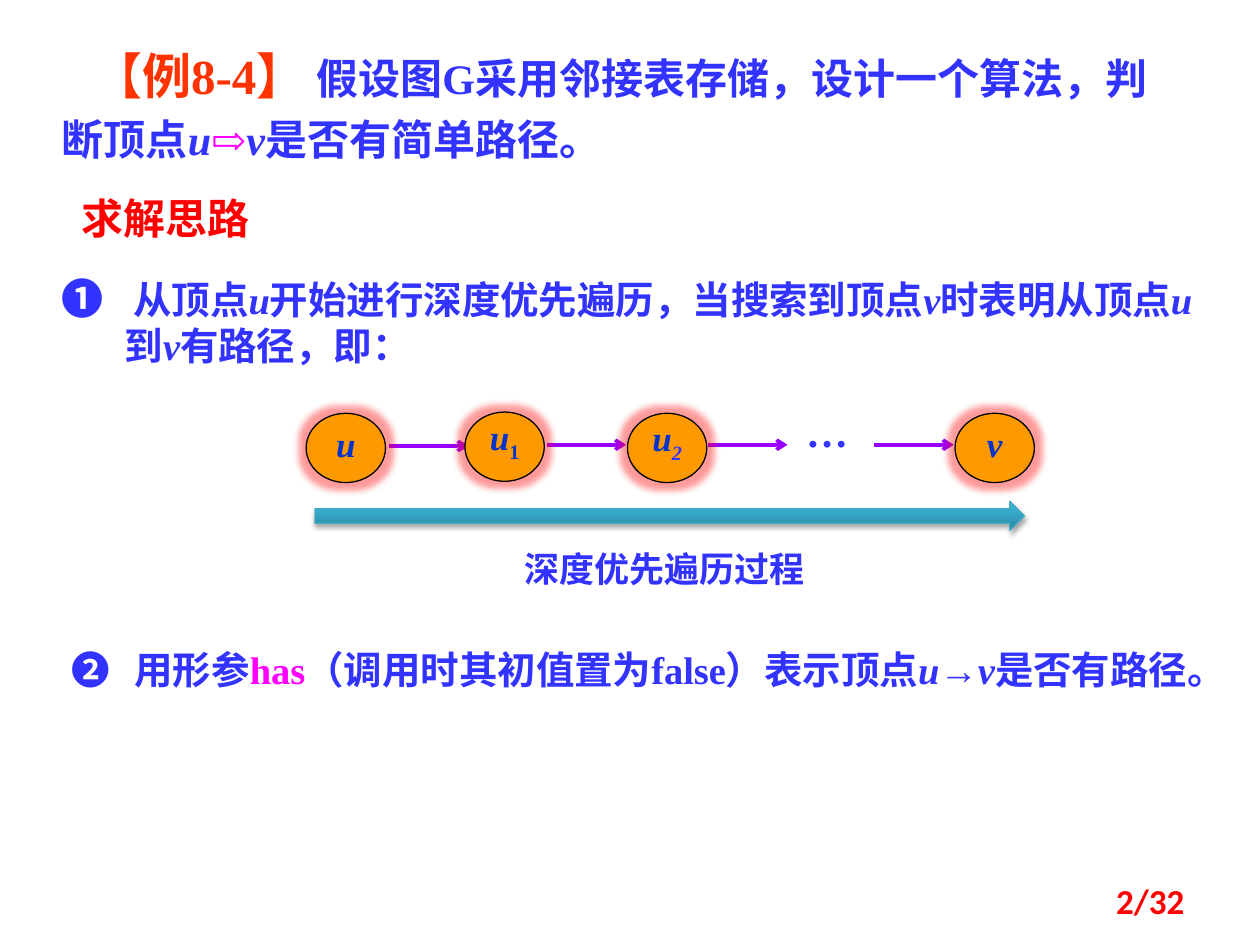
from lxml import etree
from pptx import Presentation
from pptx import util as u
from pptx.dml.color import RGBColor
from pptx.enum import shapes, text
from pptx.oxml import parse_xml
from pptx.oxml.ns import qn

COLORS = {"blue": "3333FF", "node": "FF9900", "label": "0033CC", "black": "000000",
          "red": "FF0000", "orange": "FF3300", "pink": "FF00FF", "edge": "9900FF",
          "teal": "46AAC5", "teal_dark": "2A88A2", "teal_mid": "37B1D2",
          "teal_light": "34B4D6"}
CJK, SERIF, SANS = "Noto Sans CJK SC", "Times New Roman", "Calibri"
COLS, ROWS = 100, 75
NS = 'xmlns:a="http://schemas.openxmlformats.org/drawingml/2006/main"'
GLOW = f"""<a:effectLst {NS}><a:glow rad="101600"><a:srgbClr val="{COLORS['red']}">
<a:alpha val="40000"/></a:srgbClr></a:glow></a:effectLst>"""
SHADOW = f"""<a:effectLst {NS}><a:outerShdw blurRad="39370" dist="22860" dir="5400000"
rotWithShape="0"><a:srgbClr val="{COLORS['black']}"><a:alpha val="35000"/></a:srgbClr>
</a:outerShdw></a:effectLst>"""

prs = Presentation()
prs.slide_width, prs.slide_height = u.Inches(10), u.Inches(7.5)


def rgb(name):
    """Return the named colour."""
    return RGBColor.from_string(COLORS[name])


def grid(x, y, w, h):
    """Turn columns and rows into slide lengths."""
    cw, rh = prs.slide_width / COLS, prs.slide_height / ROWS
    return [round(v) for v in (x * cw, y * rh, w * cw, h * rh)]


def add_run(p, words, size, color="blue", font=SERIF, bold=True, italic=False, base=0):
    """Add one formatted run to a paragraph."""
    r = p.add_run()
    r.text = words
    f = r.font
    f.size, f.name, f.bold, f.italic = u.Pt(size), font, bold, italic
    f.color.rgb = rgb(color)
    rpr = f._element
    etree.SubElement(rpr, qn("a:ea")).set("typeface", CJK)
    if base:
        rpr.set("baseline", str(base * 1000))


def first_paragraph(sp, align=text.PP_ALIGN.LEFT, anchor=text.MSO_ANCHOR.TOP):
    """Prepare the frame of a shape and return its paragraph."""
    tf = sp.text_frame
    tf.word_wrap, tf.vertical_anchor = True, anchor
    p = tf.paragraphs[0]
    p.alignment = align
    return p


def add_label(s, box, words, size, align=text.PP_ALIGN.LEFT,
              anchor=text.MSO_ANCHOR.TOP, **style):
    """Place a text box holding one run."""
    sp = s.shapes.add_textbox(*grid(*box))
    add_run(first_paragraph(sp, align, anchor), words, size, **style)


def add_heading(s, box):
    """Fill the title placeholder with the problem statement."""
    sp = s.shapes.title
    sp.left, sp.top, sp.width, sp.height = grid(*box)
    p = first_paragraph(sp)
    sp.text_frame.auto_size = text.MSO_AUTO_SIZE.NONE
    p._p.get_or_add_pPr().set("indent", str(u.Inches(0.25)))
    p.line_spacing = u.Pt(34)
    add_run(p, "【例8-4】 ", 28, "orange")
    add_run(p, "假设图G采用邻接表存储，设计一个算法，判断顶点", 24)
    add_run(p, "u", 24, italic=True)
    add_run(p, "⇨", 24, "pink")
    add_run(p, "v", 24, italic=True)
    add_run(p, "是否有简单路径。", 24)


def add_step(s, box, marker, marker_size, parts):
    """Place a numbered step with a hanging indent."""
    p = first_paragraph(s.shapes.add_textbox(*grid(*box)))
    ppr = p._p.get_or_add_pPr()
    ppr.set("marL", str(u.Inches(0.5)))
    ppr.set("indent", str(-u.Inches(0.5)))
    add_run(p, marker + "\t", marker_size)
    for words, style in parts:
        add_run(p, words, 22, **style)


def add_node(s, box, name, sub="", sub_style=None):
    """Draw a glowing vertex with its label."""
    sp = s.shapes.add_shape(shapes.MSO_SHAPE.OVAL, *grid(*box))
    sp.fill.solid()
    sp.fill.fore_color.rgb = rgb("node")
    sp.line.color.rgb = rgb("black")
    sp.line.width = u.Pt(0.75)
    sp._element.spPr.append(parse_xml(GLOW))
    p = first_paragraph(sp, text.PP_ALIGN.CENTER)
    sp.text_frame.margin_left = sp.text_frame.margin_right = 0
    p.line_spacing = u.Pt(20)
    add_run(p, name, 20, "label", italic=True)
    if sub:
        add_run(p, sub, 20, base=-25, **sub_style)


def add_edge(s, x, y, length):
    """Draw an arrow from one vertex towards the next."""
    left, top, width, _ = grid(x, y, length, 0)
    sp = s.shapes.add_connector(shapes.MSO_CONNECTOR.STRAIGHT, left, top, left + width, top)
    sp.line.color.rgb = rgb("edge")
    sp.line.width = u.Pt(2)
    ln = sp.line._get_or_add_ln()
    etree.SubElement(ln, qn("a:tailEnd")).set("type", "arrow")
    etree.SubElement(sp._element.spPr, qn("a:effectLst"))


def add_sweep(s, box):
    """Draw the wide arrow that shows the traversal direction."""
    sp = s.shapes.add_shape(shapes.MSO_SHAPE.RIGHT_ARROW, *grid(*box))
    stops = ((0, "teal_dark"), (80, "teal_mid"), (100, "teal_light"))
    gs = "".join(f'<a:gs pos="{pos * 1000}"><a:srgbClr val="{COLORS[c]}"/></a:gs>'
                 for pos, c in stops)
    sp._element.spPr.append(parse_xml(
        f'<a:gradFill {NS} rotWithShape="1"><a:gsLst>{gs}</a:gsLst>'
        '<a:lin ang="16200000" scaled="0"/></a:gradFill>'))
    sp.line.color.rgb = rgb("teal")
    sp.line.width = u.Pt(0.75)
    sp._element.spPr.append(parse_xml(SHADOW))


def add_path(s, box):
    """Draw the path from u to v inside the box."""
    x, y, w, h = box
    d, nh = 6.3, 5.5
    for dx, dy in ((6.6, 3.7), (19.1, 3.6), (31.9, 3.6), (45.1, 3.6)):
        add_edge(s, x + dx, y + dy, d)
    nodes = ((0, 1.1, "u", "", None),
             (12.6, 1, "u", "1", {"color": "label"}),
             (25.5, 1.1, "u", "2", {"italic": True}),
             (w - d, 1.1, "v", "", None))
    for dx, dy, name, sub, style in nodes:
        add_node(s, (x + dx, y + dy, d, nh), name, sub, style)
    add_label(s, (x + 38.2, y, d, 5), "…", 24, text.PP_ALIGN.CENTER)
    add_sweep(s, (x + 0.7, y + 8.1, w - 1.5, 2.3))
    add_label(s, (x + 14.8, y + h - 4.4, 27.3, 4.4), "深度优先遍历过程", 20,
              text.PP_ALIGN.CENTER)


def main():
    """Build the slide and save it."""
    s = prs.slides.add_slide(prs.slide_layouts[5])
    it = {"italic": True}
    add_heading(s, (3.9, 3.1, 91.4, 10.5))
    add_label(s, (5.5, 14.8, 17.2, 5), "求解思路", 24, color="red", font=CJK)
    add_step(s, (3.9, 21.1, 92.9, 9.1), "❶", 24, (
        (" 从顶点", {}), ("u", it), ("开始进行深度优先遍历，当搜索到顶点", {}), ("v", it),
        ("时表明从顶点", {}), ("u", it), ("到", {}), ("v", it), ("有路径，即：", {})))
    add_path(s, (24.3, 31.7, 57.8, 15.7))
    add_step(s, (4.7, 50.8, 90.6, 8.4), "❷", 22, (
        ("用形参", {}), ("has", {"color": "pink"}),
        ("（调用时其初值置为false）表示顶点", {}), ("u", it), ("→", {}), ("v", it),
        ("是否有路径。", {})))
    add_label(s, (71.7, 69.5, 23.3, 4), "2/32", 20, text.PP_ALIGN.RIGHT,
              text.MSO_ANCHOR.MIDDLE, color="red", font=SANS)
    prs.save("out.pptx")


if __name__ == "__main__":
    main()
